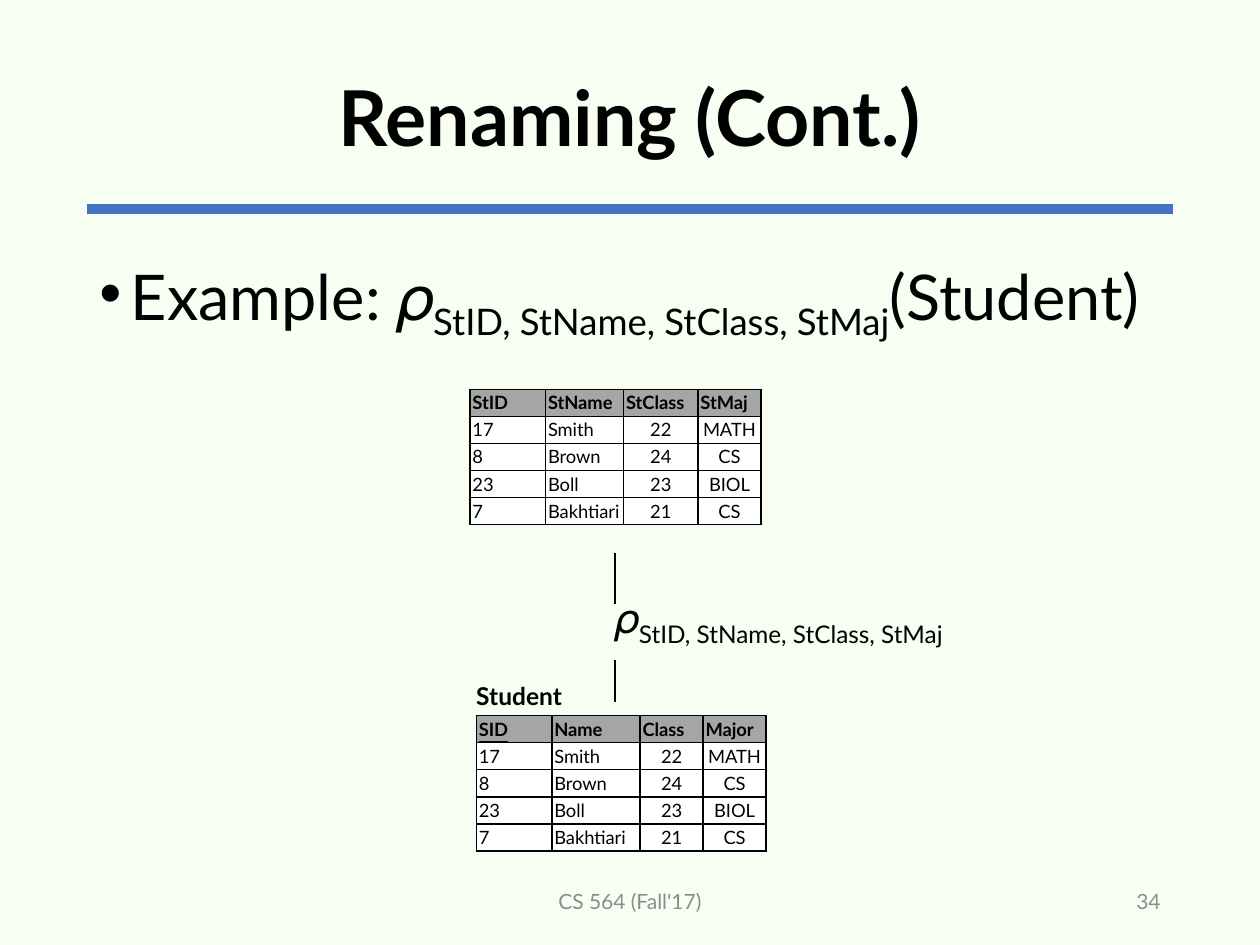
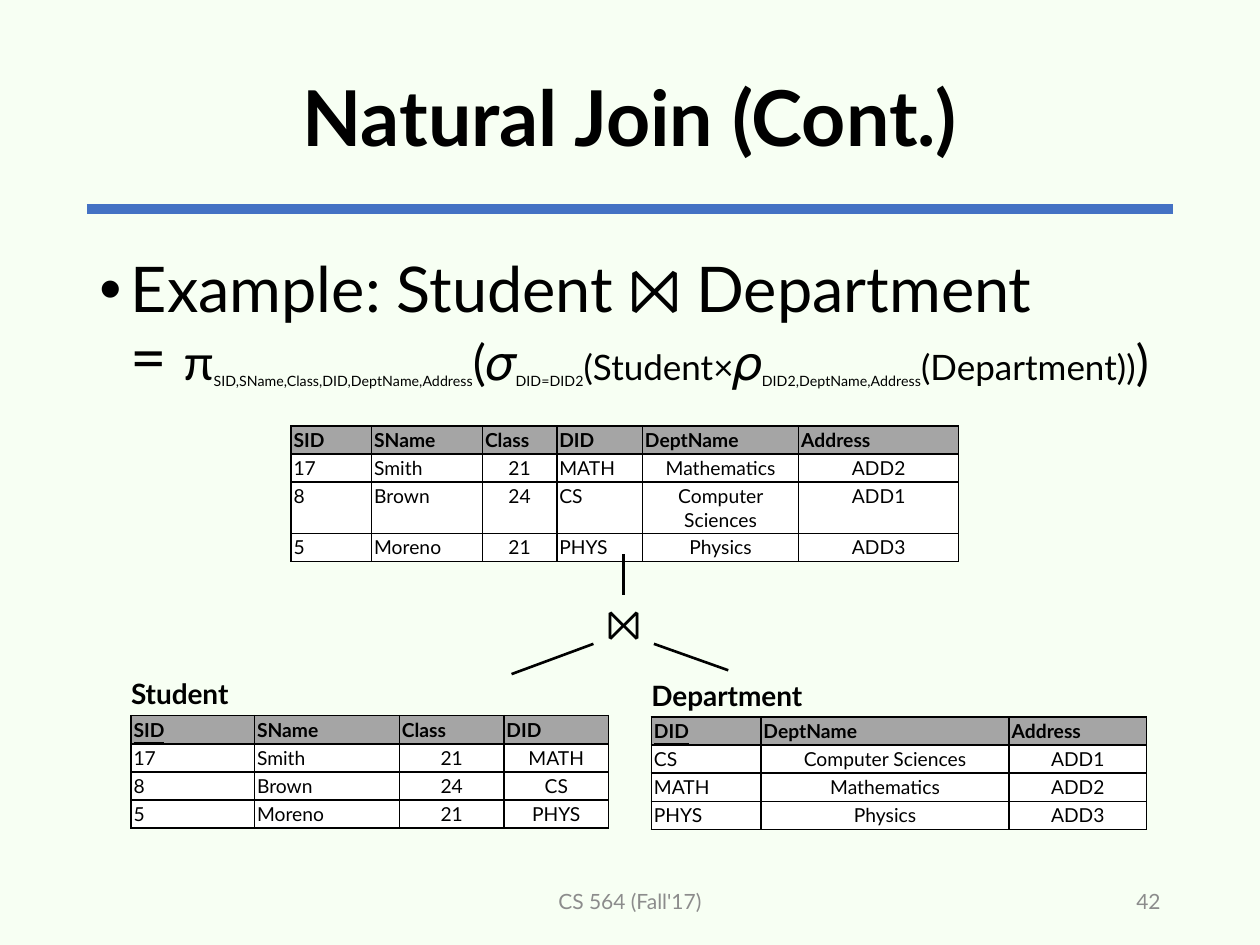
from pptx import Presentation
from pptx.dml.color import RGBColor
from pptx.enum.shapes import MSO_CONNECTOR
from pptx.enum.text import MSO_ANCHOR, PP_ALIGN
from pptx.oxml import parse_xml
from pptx.oxml.ns import nsdecls
from pptx.util import Inches, Pt

COLORS = {
    "background": "F7FFF3",
    "rule": "4472C4",
    "ink": "000000",
    "footer": "8C8C8C",
    "header": "A5A5A5",
    "cell": "FFFFFF",
}
FONT = "Lato"
MARGIN, CONTENT_WIDTH = 0.69, 8.62
ALIGNMENTS = {"l": PP_ALIGN.LEFT, "c": PP_ALIGN.CENTER, "r": PP_ALIGN.RIGHT}


def rgb(name):
    return RGBColor.from_string(COLORS[name])


def write(para, text, size=12, color="ink", bold=False, underline=False, subscript=False, font=FONT):
    for index, line in enumerate(text.split("\n")):
        if index:
            para.add_line_break()
        span = para.add_run()
        span.text = line
        span.font.name = font
        span.font.size = Pt(size)
        span.font.bold = bold
        span.font.underline = underline
        span.font.color.rgb = rgb(color)
        if subscript:
            span.font._element.set("baseline", "-25000")


def add_text(page, box, spans, align="l", anchor=MSO_ANCHOR.MIDDLE, inset=(0.1, 0.05),
             wrap=True, spacing=None, bullet=False, **style):
    shape = page.shapes.add_textbox(*map(Inches, box))
    frame = shape.text_frame
    frame.word_wrap = wrap
    frame.vertical_anchor = anchor
    frame.margin_left = frame.margin_right = Inches(inset[0])
    frame.margin_top = frame.margin_bottom = Inches(inset[1])
    para = frame.paragraphs[0]
    para.alignment = ALIGNMENTS[align]
    if spacing:
        para.line_spacing = spacing
    if bullet:
        properties = para._p.get_or_add_pPr()
        properties.set("marL", str(Inches(0.25)))
        properties.set("indent", str(-Inches(0.25)))
        properties.append(parse_xml(f'<a:buFont {nsdecls("a")} typeface="Arial"/>'))
        properties.append(parse_xml(f'<a:buChar {nsdecls("a")} char="•"/>'))
    for text, changes in [(spans, {})] if isinstance(spans, str) else spans:
        write(para, text, **{**style, **changes})
    return shape


def add_line(page, start, end, color="ink", width=1.5):
    line = page.shapes.add_connector(MSO_CONNECTOR.STRAIGHT, *map(Inches, (*start, *end)))
    line.line.color.rgb = rgb(color)
    line.line.width = Pt(width)
    line._element.spPr.append(parse_xml(f'<a:effectLst {nsdecls("a")}/>'))
    return line


def add_borders(cell):
    properties = cell._tc.get_or_add_tcPr()
    for side in "LRTB":
        properties.append(parse_xml(
            f'<a:ln{side} {nsdecls("a")} w="12700"><a:solidFill>'
            f'<a:srgbClr val="{COLORS["ink"]}"/></a:solidFill></a:ln{side}>'))


def add_relation(page, left, top, widths, rows, aligns, size=11, name=None, name_size=16, key=False):
    row_height = 0.21 if size < 11 else 0.22
    frame = page.shapes.add_table(
        len(rows), len(widths), Inches(left), Inches(top),
        Inches(sum(widths)), Inches(row_height * len(rows)))
    table = frame.table
    for column, width in zip(table.columns, widths):
        column.width = Inches(width)
    for row_index, values in enumerate(rows):
        table.rows[row_index].height = Inches(row_height)
        header = row_index == 0
        for column_index, value in enumerate(values):
            cell = table.cell(row_index, column_index)
            cell.margin_left = cell.margin_right = Inches(0.02)
            cell.margin_top = cell.margin_bottom = Inches(0.02)
            add_borders(cell)
            cell.fill.solid()
            cell.fill.fore_color.rgb = rgb("header" if header else "cell")
            para = cell.text_frame.paragraphs[0]
            para.alignment = ALIGNMENTS["l" if header else aligns[column_index]]
            write(para, value, size=size, bold=header,
                  underline=key and header and column_index == 0)
    if name:
        add_text(page, (left, top - 0.37, 1.5, 0.33), name, size=name_size, bold=True,
                 anchor=MSO_ANCHOR.BOTTOM, inset=(0, 0), wrap=False)


def start_page(deck, title, number, example):
    page = deck.slides.add_slide(deck.slide_layouts[6])
    page.background.fill.solid()
    page.background.fill.fore_color.rgb = rgb("background")
    add_line(page, (MARGIN, 1.66), (MARGIN + CONTENT_WIDTH, 1.66), color="rule", width=6)
    add_text(page, (MARGIN, 0.24, CONTENT_WIDTH, 1.45), title,
             align="c", spacing=0.9, size=44, bold=True)
    add_text(page, (MARGIN, 2, CONTENT_WIDTH, 4.76), example,
             anchor=MSO_ANCHOR.TOP, spacing=0.9, bullet=True, size=36)
    add_text(page, (3.31, 6.95, 3.38, 0.4), "CS 564 (Fall'17)", align="c", color="footer")
    add_text(page, (7.06, 6.95, 2.25, 0.4), number, align="r", color="footer")
    return page


def build_renaming(deck):
    new_names = ["StID", "StName", "StClass", "StMaj"]
    subscript = (", ".join(new_names), {"subscript": True})
    page = start_page(deck, "Renaming (Cont.)", "34",
                      [("Example: 𝜌", {}), subscript, ("(Student)", {})])
    students = [
        ["17", "Smith", "22", "MATH"],
        ["8", "Brown", "24", "CS"],
        ["23", "Boll", "23", "BIOL"],
        ["7", "Bakhtiari", "21", "CS"],
    ]
    axis = 4.88
    add_text(page, (axis, 4.69, 2.7, 0.46), [("𝜌", {"font": "Calibri"}), subscript],
             size=24, inset=(0, 0), wrap=False)
    for top, bottom in [(4.39, 4.79), (5.24, 5.57)]:
        add_line(page, (axis, top), (axis, bottom))
    add_relation(page, 3.78, 5.68, [0.6, 0.7, 0.5, 0.5],
                 [["SID", "Name", "Class", "Major"], *students], "llcc",
                 size=10.5, name="Student", name_size=14, key=True)
    add_relation(page, 3.73, 3.09, [0.6, 0.62, 0.59, 0.5],
                 [new_names, *students], "llcc", size=10.5)


def build_natural_join(deck):
    large, medium = {"size": 28}, {"size": 20}
    small = {"size": 14, "subscript": True}
    page = start_page(deck, "Natural Join (Cont.)", "42", [
        ("Example: Student ⨝ Department\n= ", {}),
        ("π", large),
        ("SID,SName,Class,DID,DeptName,Address", small),
        ("(𝜎", large),
        ("DID=DID2", small),
        ("(Student×", medium),
        ("𝜌", large),
        ("DID2,DeptName,Address", small),
        ("(Department))", medium),
        (")", large),
    ])
    students = [
        ["SID", "SName", "Class", "DID"],
        ["17", "Smith", "21", "MATH"],
        ["8", "Brown", "24", "CS"],
        ["5", "Moreno", "21", "PHYS"],
    ]
    departments = [
        ["DID", "DeptName", "Address"],
        ["CS", "Computer Sciences", "ADD1"],
        ["MATH", "Mathematics", "ADD2"],
        ["PHYS", "Physics", "ADD3"],
    ]
    details = {department[0]: department[1:] for department in departments}
    joined = [student + details[student[-1]] for student in students]
    add_relation(page, 1.04, 5.68, [0.98, 1.15, 0.83, 0.83], students, "llcc",
                 name="Student", key=True)
    add_relation(page, 5.17, 5.69, [0.87, 1.97, 1.09], departments, "lcc",
                 name="Department", key=True)
    add_relation(page, 2.31, 3.38, [0.64, 0.88, 0.59, 0.68, 1.24, 1.27], joined, "llclcc")
    join = add_text(page, (4.61, 4.72, 0.68, 0.45), "⨝", align="c", size=24, inset=(0, 0))
    add_line(page, (4.95, 4.4), (4.95, 4.72)).end_connect(join, 0)
    add_line(page, (4.71, 5.11), (4.06, 5.35))
    add_line(page, (5.19, 5.11), (5.78, 5.32))


def main():
    deck = Presentation()
    deck.slide_width, deck.slide_height = Inches(10), Inches(7.5)
    build_renaming(deck)
    build_natural_join(deck)
    deck.save("out.pptx")


if __name__ == "__main__":
    main()
